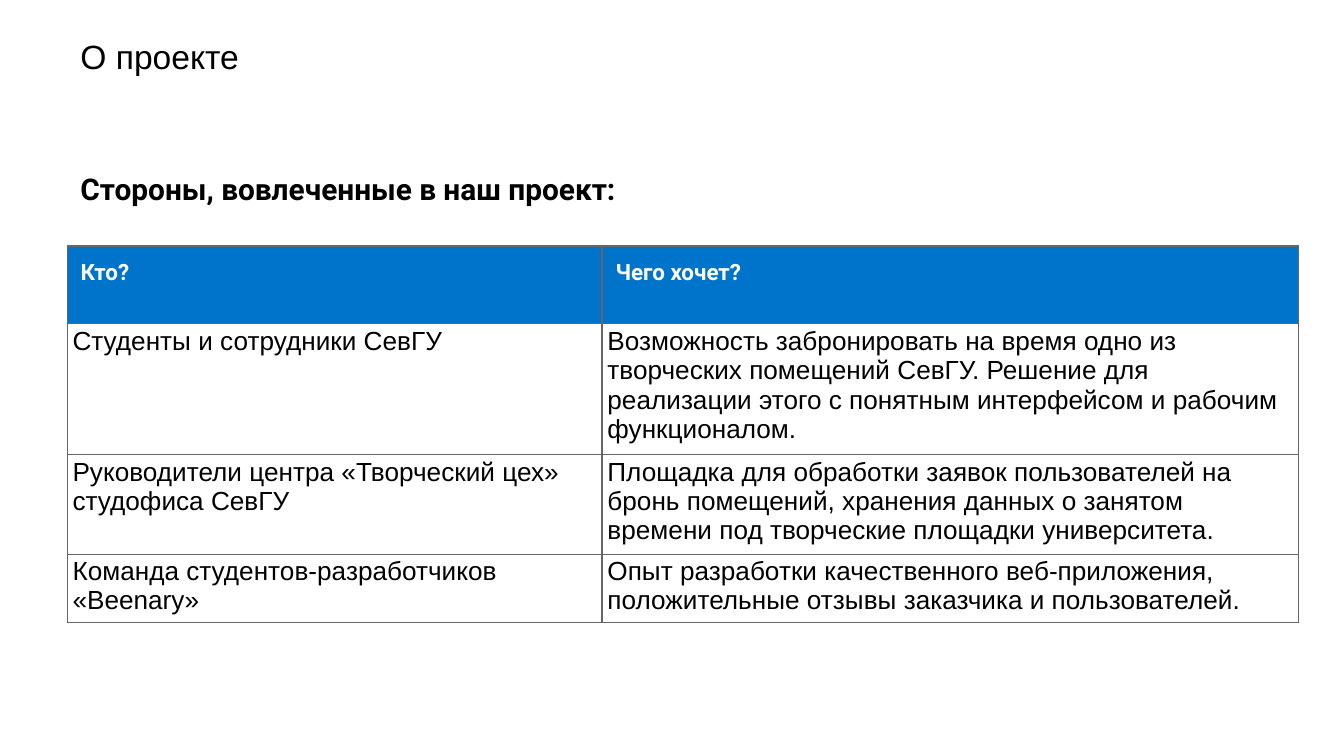
from lxml.etree import SubElement
from pptx import Presentation
from pptx.dml.color import RGBColor
from pptx.enum.text import MSO_ANCHOR
from pptx.oxml.ns import qn
from pptx.util import Inches, Pt

TITLE = "О проекте"
SUBTITLE = "Стороны, вовлеченные в наш проект:"
ROWS = [
    ("Кто?", "Чего хочет?"),
    ("Студенты и сотрудники СевГУ",
     "Возможность забронировать на время одно из творческих помещений СевГУ. "
     "Решение для реализации этого с понятным интерфейсом и рабочим функционалом."),
    ("Руководители центра «Творческий цех» студофиса СевГУ",
     "Площадка для обработки заявок пользователей на бронь помещений, хранения данных "
     "о занятом времени под творческие площадки университета."),
    ("Команда студентов-разработчиков «Beenary»",
     "Опыт разработки качественного веб-приложения, положительные отзывы заказчика "
     "и пользователей."),
]
COLUMN_WIDTHS = (3.98, 5.18)
ROW_HEIGHTS = (0.58, 0.45, 0.63, 0.45)
SLIDE_WIDTH = 10
LEFT = 0.5
BLACK, WHITE, BLUE, GRAY = "000000", "FFFFFF", "0074CA", "666666"


def color(value):
    return RGBColor.from_string(value)


def write(frame, text, size, font, tint, bold=False):
    frame.text = text
    for span in frame.paragraphs[0].runs:
        span.font.size = Pt(size)
        span.font.name = font
        span.font.bold = bold
        span.font.color.rgb = color(tint)


def set_margins(target, across, down):
    target.margin_left = target.margin_right = Inches(across)
    target.margin_top = target.margin_bottom = Inches(down)


def add_text(page, place, margins, anchor, *style):
    box = page.shapes.add_textbox(*map(Inches, place))
    frame = box.text_frame
    frame.word_wrap = True
    frame.vertical_anchor = anchor
    set_margins(frame, *margins)
    write(frame, *style)


def add_borders(cell):
    properties = cell._tc.get_or_add_tcPr()
    for index, side in enumerate(("lnL", "lnR", "lnT", "lnB")):
        line = properties.makeelement(qn(f"a:{side}"), {"w": str(Pt(0.75))})
        fill = SubElement(line, qn("a:solidFill"))
        SubElement(fill, qn("a:srgbClr"), val=GRAY)
        properties.insert(index, line)


def add_parties_table(page):
    frame = page.shapes.add_table(
        len(ROWS), len(COLUMN_WIDTHS), Inches(LEFT), Inches(1.83),
        Inches(sum(COLUMN_WIDTHS)), Inches(sum(ROW_HEIGHTS)))
    table = frame.table
    table.horz_banding = False
    for column, width in zip(table.columns, COLUMN_WIDTHS):
        column.width = Inches(width)
    for index, (row, height, texts) in enumerate(zip(table.rows, ROW_HEIGHTS, ROWS)):
        row.height = Inches(height)
        for cell, text in zip(row.cells, texts):
            if index == 0:
                set_margins(cell, 0.1, 0.1)
                cell.fill.solid()
                cell.fill.fore_color.rgb = color(BLUE)
                write(cell.text_frame, text, 12, "Roboto", WHITE, True)
            else:
                set_margins(cell, 0.04, 0.02)
                cell.fill.background()
                write(cell.text_frame, text, 14, "Arial", BLACK)
            add_borders(cell)


def main():
    deck = Presentation()
    deck.slide_width = Inches(SLIDE_WIDTH)
    deck.slide_height = Inches(SLIDE_WIDTH * 9 / 16)
    page = deck.slides.add_slide(deck.slide_layouts[6])
    add_text(page, (LEFT, 0.17, 9.32, 0.63), (0.1, 0.1), MSO_ANCHOR.TOP,
             TITLE, 18, "Arial", BLACK)
    add_parties_table(page)
    add_text(page, (LEFT, 1.22, 7.58, 0.37), (0.1, 0.05), MSO_ANCHOR.MIDDLE,
             SUBTITLE, 16, "Roboto", BLACK, True)
    deck.save("out.pptx")


if __name__ == "__main__":
    main()
